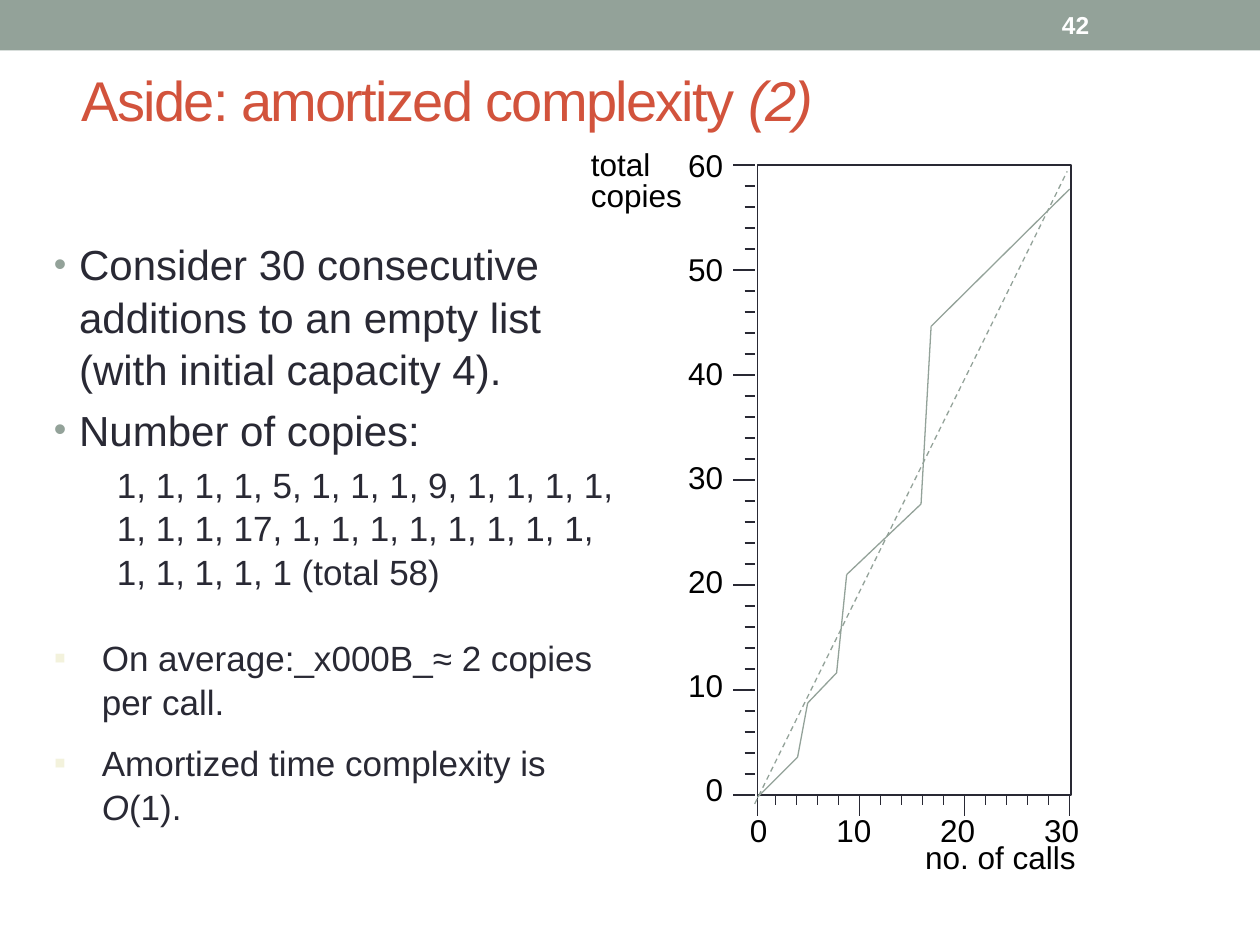
from pptx import Presentation
from pptx import util as u
from pptx.dml.color import RGBColor
from pptx.enum import dml, shapes, text
from lxml import etree

COLORS = {
    "band": "93A299", "title": "D2533C", "ink": "292934", "black": "000000",
    "white": "FFFFFF", "pale": "F3F2DC",
}
NS = "http://schemas.openxmlformats.org/drawingml/2006/main"
LEFT, RIGHT = text.PP_ALIGN.LEFT, text.PP_ALIGN.RIGHT
CENTER = text.PP_ALIGN.CENTER


def rgb(name):
    return RGBColor.from_string(COLORS[name])


def sub(parent, tag, **attrs):
    return etree.SubElement(parent, f"{{{NS}}}{tag}", **attrs)


def add_run(p, words, size, color, bold=False, italic=False):
    r = p.add_run()
    r.text = words
    f = r.font
    f.name, f.size, f.bold, f.italic = "Arial", u.Pt(size), bold, italic
    f.color.rgb = rgb(color)
    return r


def add_box(s, x, y, w, h, inset=True, wrap=True):
    sp = s.shapes.add_textbox(u.Inches(x), u.Inches(y), u.Inches(w), u.Inches(h))
    tf = sp.text_frame
    tf.word_wrap = wrap
    if not inset:
        tf.margin_left = tf.margin_right = tf.margin_top = tf.margin_bottom = 0
    return tf


def add_label(s, x, y, w, words, align=RIGHT, h=0.25, wrap=True):
    tf = add_box(s, x, y, w, h, inset=False, wrap=wrap)
    p = tf.paragraphs[0]
    p.alignment, p.line_spacing = align, u.Pt(18)
    add_run(p, words, 18, "black")


def add_rect(s, x, y, w, h, fill, line=None):
    sp = s.shapes.add_shape(shapes.MSO_SHAPE.RECTANGLE, u.Inches(x),
                            u.Inches(y), u.Inches(w), u.Inches(h))
    sp.shadow.inherit = False
    sp.fill.solid()
    sp.fill.fore_color.rgb = rgb(fill)
    if line:
        sp.line.color.rgb = rgb(line)
        sp.line.width = u.Pt(0.75)
    else:
        sp.line.fill.background()


def add_line(s, start, end, color="ink", dashed=False):
    cx = s.shapes.add_connector(shapes.MSO_CONNECTOR.STRAIGHT,
                                *map(u.Inches, (*start, *end)))
    cx.line.color.rgb = rgb(color)
    cx.line.width = u.Pt(0.75)
    if dashed:
        cx.line.dash_style = dml.MSO_LINE.DASH
    sub(cx._element.spPr, "effectLst")


def add_paragraph(tf, runs, size, margin, hang, before, bullet=None, color=None,
                  scale=100):
    """Runs are (words, italic) pairs; the first paragraph has no space before."""
    first = not tf.paragraphs[0].runs
    p = tf.paragraphs[0] if first else tf.add_paragraph()
    p.space_before = u.Pt(0 if first else before)
    p.line_spacing = 1.04
    pPr = p._p.get_or_add_pPr()
    pPr.set("marL", str(u.Inches(margin)))
    pPr.set("indent", str(-u.Inches(hang)))
    if bullet:
        sub(sub(pPr, "buClr"), "srgbClr", val=COLORS[color])
        sub(pPr, "buSzPct", val=str(scale * 1000))
        sub(pPr, "buFont", typeface="Arial")
        sub(pPr, "buChar", char=bullet)
    else:
        sub(pPr, "buNone")
    for words, italic in runs:
        add_run(p, words, size, "ink", italic=italic)


def add_header(s):
    add_rect(s, 0, 0, 10, 0.4, "band")
    sp = s.shapes.title
    sp.left, sp.top, sp.width, sp.height = map(u.Inches, (0.55, 0.25, 9, 1.08))
    tf = sp.text_frame
    tf.vertical_anchor = text.MSO_ANCHOR.MIDDLE
    p = tf.paragraphs[0]
    p.alignment = LEFT
    for words, italic in (("Aside: amortized complexity ", False), ("(2)", True)):
        r = add_run(p, words, 32, "title", italic=italic)
        r.font._element.set("spc", "-100")
    # Slide number
    tf = add_box(s, 8.33, 0.02, 1.17, 0.36)
    tf.vertical_anchor = text.MSO_ANCHOR.MIDDLE
    add_run(tf.paragraphs[0], "42", 14, "white", bold=True)


def add_body(s):
    tf = add_box(s, 0.33, 1.83, 4.76, 5.08)
    for words in ("Consider 30 consecutive additions to an empty list "
                  "(with initial capacity 4). ", "Number of copies:"):
        add_paragraph(tf, [(words, False)], 24, 0.2, 0.2, 4.8, "•", "band", 85)
    copies = [1] * 30
    copies[4], copies[8], copies[16] = 5, 9, 17
    words = ", ".join(map(str, copies)) + f" (total {sum(copies)})"
    add_paragraph(tf, [(words, False)], 20, 0.5, 0, 4)

    tf = add_box(s, 0.33, 4.99, 4.76, 1.86)
    for runs in ([("On average:\v≈ 2 copies per call.", False)],
                 [("Amortized time complexity is ", False), ("O", True),
                  ("(1).", False)]):
        add_paragraph(tf, runs, 20, 0.38, 0.38, 10, "▪", "pale")


def add_axes(s):
    x0, y0, step = 5.99, 6.31, 1 / 6
    add_rect(s, 6.01, 1.31, 2.49, 5, "white", "ink")
    # Ticks every two units, long ones every ten
    for n in range(31):
        length = 0.08 if n % 5 else 0.17
        y = y0 - n * step
        add_line(s, (x0 - length, y), (x0, y))
        if n <= 15:
            x = max(x0 + n * step, 6.01)
            add_line(s, (x, y0), (x, y0 + length))
    # Tick labels
    for n in range(7):
        words = str(10 * n)
        add_label(s, 5.46, 6.16 - 0.825 * n, 0.28, words, wrap=False)
        if n <= 3:
            add_label(s, 5.81 + 0.825 * n, 6.49, 0.28, words, wrap=False)
    add_label(s, 4.69, 1.2, 0.74, "total copies", LEFT, h=0.5)
    add_label(s, 7.31, 6.7, 1.26, "no. of calls", CENTER)


def add_curves(s):
    points = [(6.01, 6.33), (6.33, 6.01), (6.41, 5.58), (6.64, 5.34),
              (6.72, 4.56), (7.31, 4), (7.39, 2.59), (8.49, 1.5)]
    for start, end in zip(points, points[1:]):
        add_line(s, start, end, "band")
    add_line(s, (5.99, 6.38), (8.47, 1.36), "band", dashed=True)


def main():
    prs = Presentation()
    prs.slide_width, prs.slide_height = u.Inches(10), u.Inches(7.5)
    s = prs.slides.add_slide(prs.slide_layouts[5])
    add_header(s)
    add_body(s)
    add_axes(s)
    add_curves(s)
    prs.save("out.pptx")


main()
